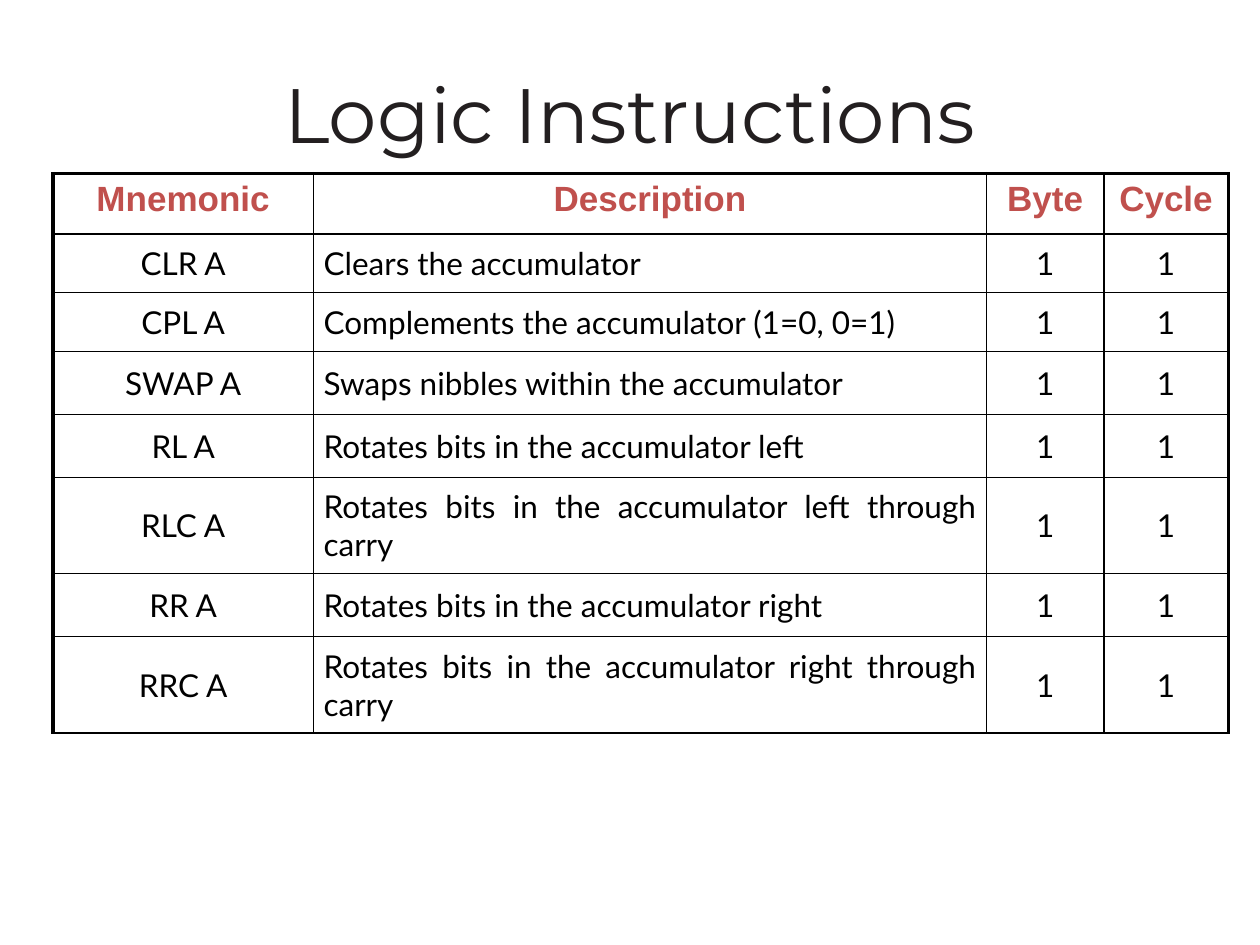
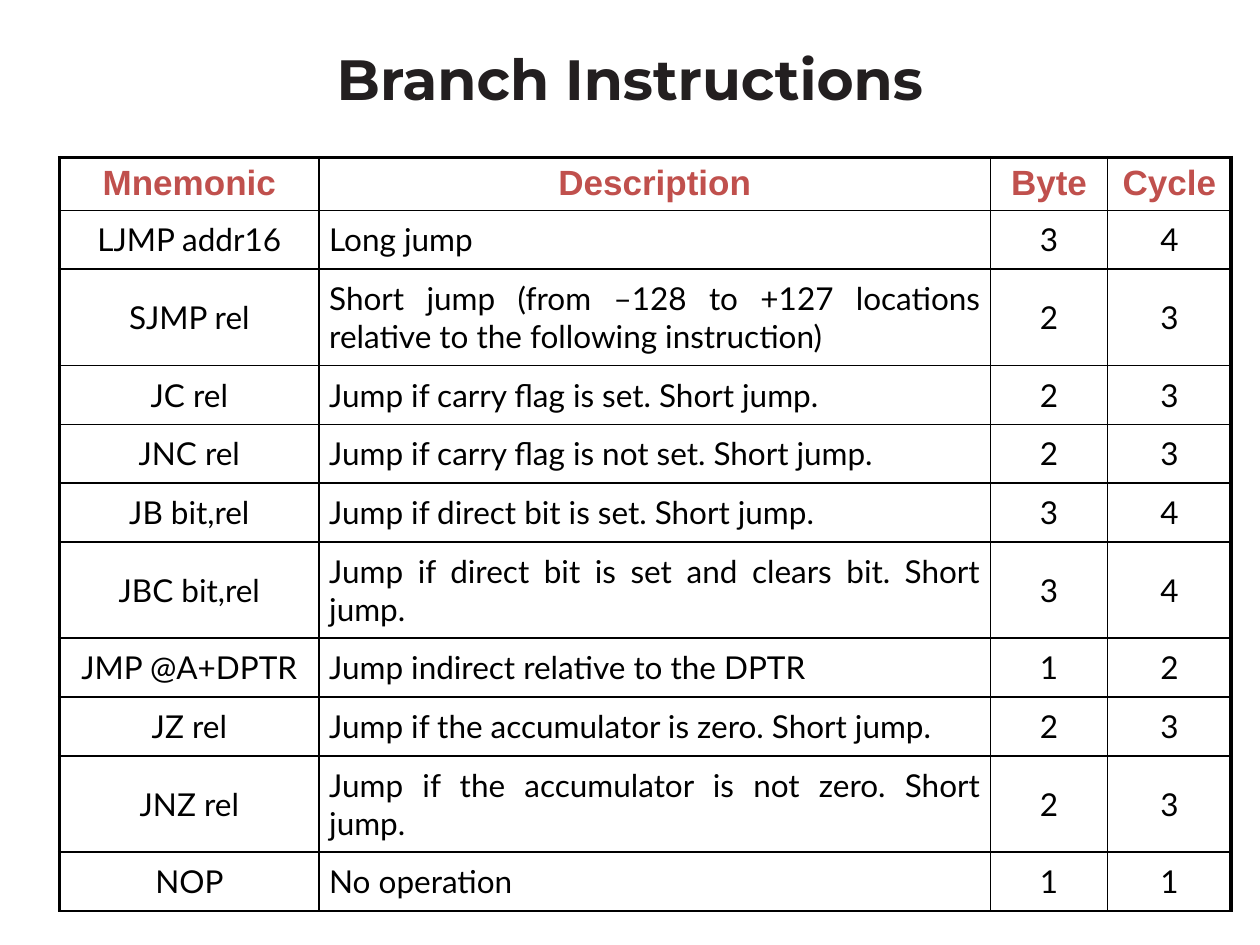
from dataclasses import dataclass

from lxml.etree import SubElement as Sub
from pptx import Presentation
from pptx.dml.color import RGBColor as Color
from pptx.enum.text import MSO_ANCHOR as Anchor, MSO_AUTO_SIZE as Fit, PP_ALIGN as Align
from pptx.oxml.ns import qn
from pptx.slide import Slide
from pptx.table import _Cell as Cell
from pptx.text.text import _Paragraph as Para
from pptx.util import Pt

COLORS = {"title": "231F20", "head": "C0504D", "text": "000000", "line": "000000"}
HEADS = ("Mnemonic", "Description", "Byte", "Cycle")
THIN, THICK = 1, 2.25
Box = tuple[float, float, float, float]
Row = tuple[str, str, int, int]


@dataclass(frozen=True)
class Style:
    font: str
    size: float
    color: str
    bold: bool


@dataclass(frozen=True)
class Look:
    style: Style
    anchor: Anchor
    side: float
    edge: float


@dataclass(frozen=True)
class Page:
    title: str
    style: Style
    place: Box
    left: float
    top: float
    cols: Box
    heights: tuple[float, ...]
    rows: tuple[Row, ...]


HEAD = Look(Style("Arial", 20, "head", True), Anchor.TOP, 7.2, 3.6)
BODY = Look(Style("Lato", 18, "text", False), Anchor.MIDDLE, 5.76, 5.76)
ONE, MID, TWO = 33.6, 36, 55.1

PAGES = (
    Page(
        "Logic Instructions", Style("Montserrat", 44, "title", False),
        (49.7, 28.8, 620.6, 71.3), 30.2, 99.2, (149, 384.6, 67, 71.2),
        (34.4, ONE, ONE, MID, MID, TWO, MID, TWO),
        (
            ("CLR A", "Clears the accumulator", 1, 1),
            ("CPL A", "Complements the accumulator (1=0, 0=1)", 1, 1),
            ("SWAP A", "Swaps nibbles within the accumulator", 1, 1),
            ("RL A", "Rotates bits in the accumulator left", 1, 1),
            ("RLC A", "Rotates bits in the accumulator left through carry", 1, 1),
            ("RR A", "Rotates bits in the accumulator right", 1, 1),
            ("RRC A", "Rotates bits in the accumulator right through carry", 1, 1),
        ),
    ),
    Page(
        "Branch Instructions", Style("Montserrat", 32.4, "title", True),
        (36, 21.6, 648, 46.1), 34, 90, (148.4, 383.6, 67, 70.6),
        (30.2, ONE, TWO, ONE, ONE, ONE, TWO, ONE, ONE, TWO, ONE),
        (
            ("LJMP addr16", "Long jump", 3, 4),
            ("SJMP rel", "Short jump (from –128 to +127 locations "
             "relative to the following instruction)", 2, 3),
            ("JC rel", "Jump if carry flag is set. Short jump.", 2, 3),
            ("JNC rel", "Jump if carry flag is not set. Short jump.", 2, 3),
            ("JB bit,rel", "Jump if direct bit is set. Short jump.", 3, 4),
            ("JBC bit,rel", "Jump if direct bit is set and clears bit. Short jump.", 3, 4),
            ("JMP @A+DPTR", "Jump indirect relative to the DPTR", 1, 2),
            ("JZ rel", "Jump if the accumulator is zero. Short jump.", 2, 3),
            ("JNZ rel", "Jump if the accumulator is not zero. Short jump.", 2, 3),
            ("NOP", "No operation", 1, 1),
        ),
    ),
)


def write(para: Para, text: str, style: Style, align: Align) -> None:
    para.text = text
    para.alignment = align
    font = para.runs[0].font
    font.name, font.size, font.bold = style.font, Pt(style.size), style.bold
    font.color.rgb = Color.from_string(COLORS[style.color])


def frame(cell: Cell, widths: dict[str, float]) -> None:
    props = cell._tc.get_or_add_tcPr()
    for side, width in widths.items():
        line = Sub(props, qn(f"a:ln{side}"), w=str(Pt(width)))
        fill = Sub(line, qn("a:solidFill"))
        Sub(fill, qn("a:srgbClr"), val=COLORS["line"])


def fill(cell: Cell, text: str, look: Look, align: Align) -> None:
    cell.margin_left = cell.margin_right = Pt(look.side)
    cell.margin_top = cell.margin_bottom = Pt(look.edge)
    cell.vertical_anchor = look.anchor
    cell.fill.background()
    write(cell.text_frame.paragraphs[0], text, look.style, align)


def add_title(slide: Slide, page: Page) -> None:
    title = slide.shapes.title
    title.left, title.top, title.width, title.height = map(Pt, page.place)
    body = title.text_frame
    body.auto_size = Fit.NONE
    body.vertical_anchor = Anchor.MIDDLE
    write(body.paragraphs[0], page.title, page.style, Align.CENTER)


def add_grid(slide: Slide, page: Page) -> None:
    data = (HEADS, *page.rows)
    table = slide.shapes.add_table(
        len(data), len(HEADS), Pt(page.left), Pt(page.top),
        Pt(sum(page.cols)), Pt(sum(page.heights)),
    ).table
    table.first_row = table.horz_banding = False
    for col, width in zip(table.columns, page.cols):
        col.width = Pt(width)
    for row, height in zip(table.rows, page.heights):
        row.height = Pt(height)
    last = len(HEADS) - 1
    for r, row in enumerate(data):
        for c, value in enumerate(row):
            cell = table.cell(r, c)
            frame(cell, {
                "L": THIN if c else THICK,
                "R": THICK if c == last else THIN,
                "T": THIN if r else THICK,
                "B": THIN,
            })
            align = Align.JUSTIFY if r and c == 1 else Align.CENTER
            fill(cell, str(value), BODY if r else HEAD, align)


def main() -> None:
    deck = Presentation()
    deck.slide_width, deck.slide_height = Pt(720), Pt(540)
    for page in PAGES:
        slide = deck.slides.add_slide(deck.slide_layouts[5])
        add_title(slide, page)
        add_grid(slide, page)
    deck.save("out.pptx")


if __name__ == "__main__":
    main()
